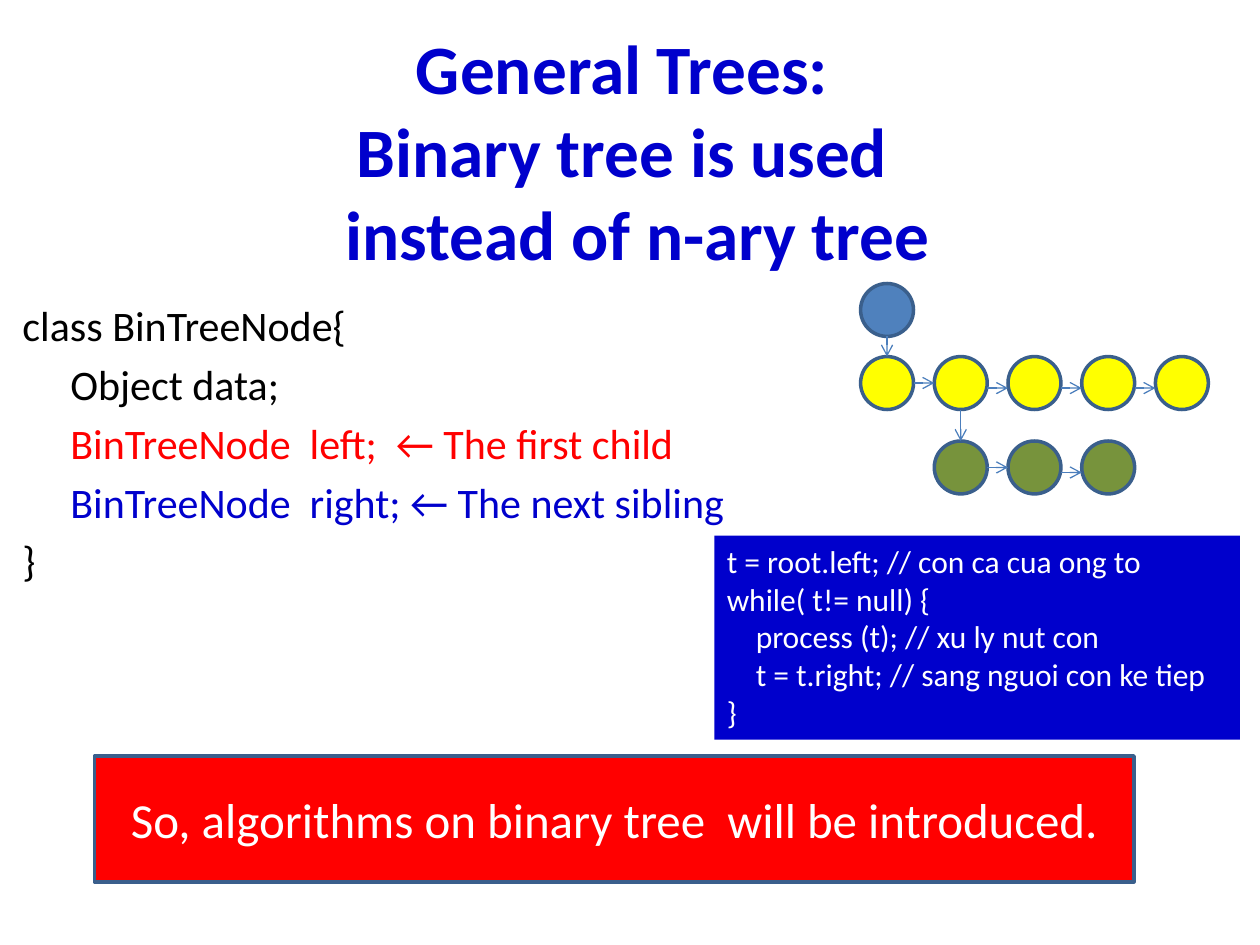
from dataclasses import dataclass

from lxml import etree
from pptx import Presentation
from pptx import util as u
from pptx.dml.color import RGBColor
from pptx.enum import shapes, text
from pptx.oxml import ns

Inches, Pt = u.Inches, u.Pt


@dataclass(frozen=True)
class Theme:
    """Colours, font and type sizes of the slide."""
    font: str = "Calibri"
    blue: str = "0000CC"
    red: str = "FF0000"
    black: str = "000000"
    white: str = "FFFFFF"
    root: str = "4F81BD"
    child: str = "FFFF00"
    grandchild: str = "77933C"
    outline: str = "3A5F8C"
    arrow: str = "4B7EBC"
    title_size: float = 39.6
    body_size: float = 24
    code_size: float = 18
    banner_size: float = 28


THEME = Theme()


def style_runs(para, size, color, bold=False):
    """Format every run of a paragraph."""
    for span in para.runs:
        span.font.name = THEME.font
        span.font.size = Pt(size)
        span.font.bold = bold
        span.font.color.rgb = RGBColor.from_string(color)


def add_code(frame, lines, size, indent, space_before=0):
    """Write code lines given as (text, colour, is indented)."""
    frame.word_wrap = True
    frame.vertical_anchor = text.MSO_ANCHOR.TOP
    frame.text = "\n".join(line for line, _, _ in lines)
    for para, (_, color, indented) in zip(frame.paragraphs, lines):
        para.alignment = text.PP_ALIGN.LEFT
        para.space_before = Pt(space_before)
        if indented:
            para._p.get_or_add_pPr().set("marL", str(Inches(indent)))
        style_runs(para, size, color)


def add_filled(page, kind, box, fill, outlined=True):
    """Add a flat filled shape, outlined unless told otherwise."""
    shape = page.shapes.add_shape(kind, *map(Inches, box))
    shape.shadow.inherit = False
    shape.fill.solid()
    shape.fill.fore_color.rgb = RGBColor.from_string(fill)
    if outlined:
        shape.line.color.rgb = RGBColor.from_string(THEME.outline)
        shape.line.width = Pt(2)
    else:
        shape.line.fill.background()
    return shape


def add_arrow(page, start, end):
    """Add a thin open-headed arrow between two points."""
    points = map(Inches, (*start, *end))
    line = page.shapes.add_connector(shapes.MSO_CONNECTOR.STRAIGHT, *points)
    line.line.color.rgb = RGBColor.from_string(THEME.arrow)
    line.line.width = Pt(0.75)
    etree.SubElement(line.line._get_or_add_ln(), ns.qn("a:tailEnd"), type="arrow")
    etree.SubElement(line._element.spPr, ns.qn("a:effectLst"))


def place_title(page, box):
    """Move and format the title placeholder."""
    title = page.shapes.title
    title.left, title.top, title.width, title.height = map(Inches, box)
    frame = title.text_frame
    frame.text = "General Trees: \vBinary tree is used \v instead of n-ary tree"
    frame.auto_size = text.MSO_AUTO_SIZE.NONE
    frame.vertical_anchor = text.MSO_ANCHOR.MIDDLE
    frame.paragraphs[0].alignment = text.PP_ALIGN.CENTER
    style_runs(frame.paragraphs[0], THEME.title_size, THEME.blue, bold=True)


def place_class(page, box):
    """Show the node class."""
    lines = [
        ("class BinTreeNode{", THEME.black, False),
        ("Object data;", THEME.black, True),
        ("BinTreeNode  left;  ← The first child", THEME.red, True),
        ("BinTreeNode  right; ← The next sibling", THEME.blue, True),
        ("}", THEME.black, False),
    ]
    frame = page.shapes.add_textbox(*map(Inches, box)).text_frame
    add_code(frame, lines, THEME.body_size, indent=0.38, space_before=4.8)


def place_banner(page, box):
    """Show the conclusion in a red banner."""
    banner = add_filled(page, shapes.MSO_SHAPE.RECTANGLE, box, THEME.red)
    frame = banner.text_frame
    frame.text = "So, algorithms on binary tree  will be introduced."
    frame.vertical_anchor = text.MSO_ANCHOR.MIDDLE
    frame.paragraphs[0].alignment = text.PP_ALIGN.CENTER
    style_runs(frame.paragraphs[0], THEME.banner_size, THEME.white)


def place_loop(page, box):
    """Show the loop over the children of the root."""
    lines = [
        ("t = root.left; // con ca cua ong to", THEME.white, False),
        ("while( t!= null) {", THEME.white, False),
        ("process (t); // xu ly nut con", THEME.white, True),
        ("t = t.right; // sang nguoi con ke tiep", THEME.white, True),
        ("}", THEME.white, False),
    ]
    panel = add_filled(page, shapes.MSO_SHAPE.RECTANGLE, box, THEME.blue, outlined=False)
    add_code(panel.text_frame, lines, THEME.code_size, indent=0.23)
    panel.text_frame.auto_size = text.MSO_AUTO_SIZE.SHAPE_TO_FIT_TEXT


def place_tree(page, box):
    """Draw rows of siblings, each hung below its parent."""
    left, top, width, _ = box
    size, drop = 0.42, 0.04
    pitch = (width - size) / 4
    rows = [
        (0, 0, 1, THEME.root),
        (0.58, 0, 5, THEME.child),
        (1.25, 1, 3, THEME.grandchild),
    ]
    for offset, first, count, color in rows:
        for column in range(first, first + count):
            node = (left + column * pitch, top + offset, size, size)
            add_filled(page, shapes.MSO_SHAPE.OVAL, node, color)
    for (above, *_), (below, first, *_) in zip(rows, rows[1:]):
        x = left + first * pitch + size / 2
        add_arrow(page, (x, top + above + size), (x, top + below))
    for offset, first, count, _ in rows:
        for column in range(first, first + count - 1):
            x = left + column * pitch
            y = top + offset + size / 2 + (drop if column > first or False else 0)
            add_arrow(page, (x + size, y), (x + pitch, y))


def main():
    """Build and save the slide."""
    deck = Presentation()
    deck.slide_width, deck.slide_height = Inches(10), Inches(7.5)
    page = deck.slides.add_slide(deck.slide_layouts[5])
    place_title(page, (0.5, 0.3, 9, 1.78))
    place_class(page, (0.08, 2.33, 6.08, 3.42))
    place_banner(page, (0.75, 6, 8.25, 1))
    place_loop(page, (5.67, 4.25, 4.17, 1.62))
    place_tree(page, (6.83, 2.25, 2.76, 1.67))
    deck.save("out.pptx")


if __name__ == "__main__":
    main()
